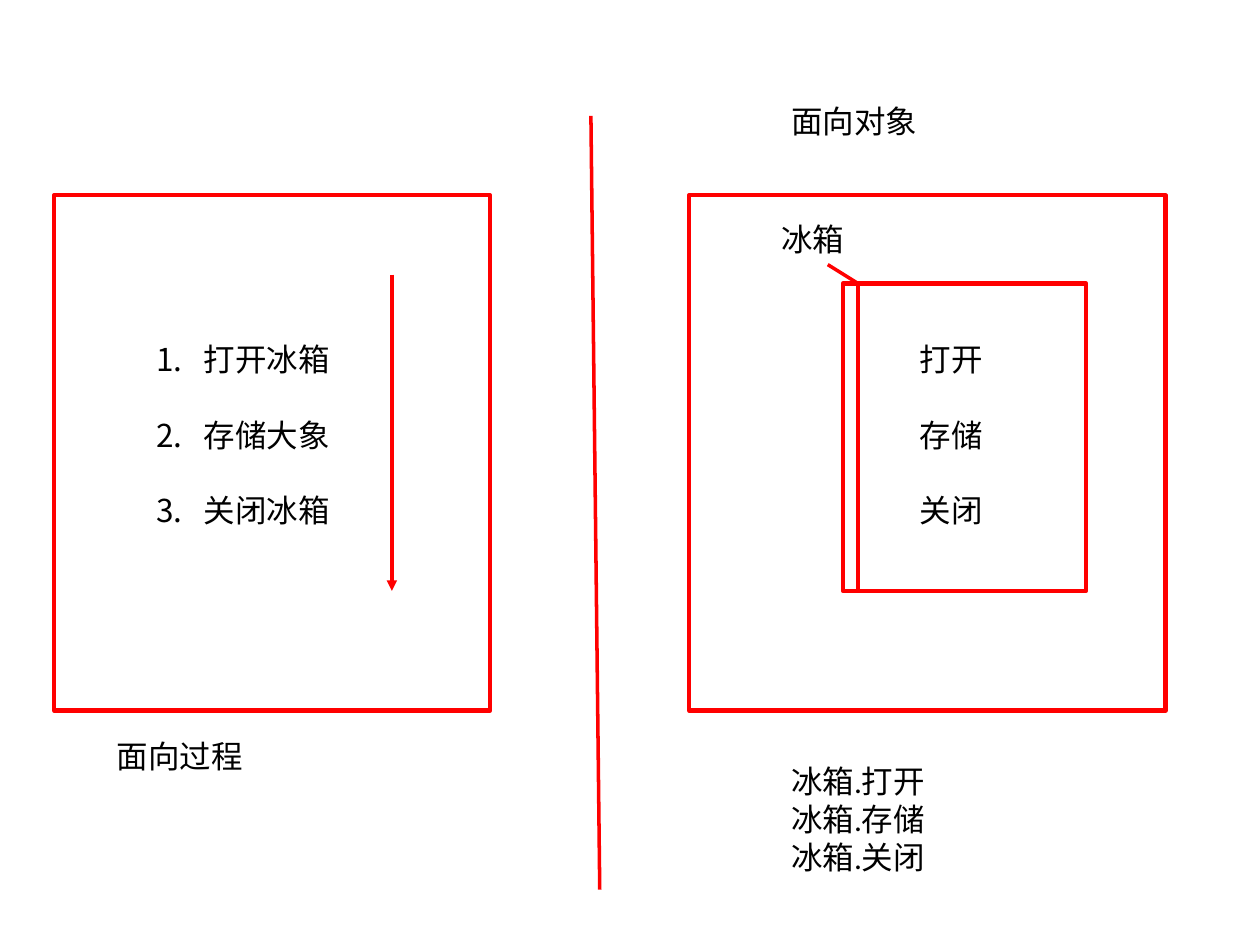
from dataclasses import dataclass

from lxml import etree
from pptx import Presentation
from pptx import util as u
from pptx.dml.color import RGBColor
from pptx.enum import shapes, text
from pptx.oxml.ns import qn


@dataclass(frozen=True)
class Theme:
    """Colours, font and sizes of the slide."""
    accent: RGBColor = RGBColor(0xFF, 0x00, 0x00)
    ink: RGBColor = RGBColor(0x00, 0x00, 0x00)
    font: str = "Calibri"
    size: float = 18
    gap: float = 21.6
    frame: float = 2.5
    rule: float = 2


class Sketch:
    """Draws outlined boxes, lines and text on one slide."""

    def __init__(self, slide, theme):
        self.slide, self.theme = slide, theme

    def box(self, *at):
        sp = self.slide.shapes.add_shape(
            shapes.MSO_SHAPE.RECTANGLE, *map(u.Inches, at))
        sp.shadow.inherit = False
        sp.fill.background()
        sp.line.color.rgb = self.theme.accent
        sp.line.width = u.Pt(self.theme.frame)

    def line(self, *ends, arrow=False):
        cx = self.slide.shapes.add_connector(
            shapes.MSO_CONNECTOR.STRAIGHT, *map(u.Inches, ends))
        cx.line.color.rgb = self.theme.accent
        cx.line.width = u.Pt(self.theme.rule)
        if arrow:
            etree.SubElement(cx.line._get_or_add_ln(), qn("a:tailEnd"), type="triangle")
        etree.SubElement(cx._element.spPr, qn("a:effectLst"))

    def text(self, at, *lines, spaced=False, numbered=False):
        sp = self.slide.shapes.add_textbox(*map(u.Inches, at))
        tf = sp.text_frame
        tf.word_wrap = True
        tf.auto_size = text.MSO_AUTO_SIZE.SHAPE_TO_FIT_TEXT
        style = {"name": self.theme.font, "size": u.Pt(self.theme.size)}
        for i, line in enumerate(lines):
            p = tf.add_paragraph() if i else tf.paragraphs[0]
            if spaced and i:
                p.space_before = u.Pt(self.theme.gap)
            if numbered:
                self.number(p)
            r = p.add_run()
            r.text = line
            for key, value in style.items():
                setattr(r.font, key, value)
            r.font.color.rgb = self.theme.ink

    def number(self, p):
        pPr = p._p.get_or_add_pPr()
        indent = u.Inches(0.38)
        for key, value in {"marL": indent, "indent": -indent}.items():
            pPr.set(key, str(int(value)))
        etree.SubElement(pPr, qn("a:buFont"), typeface="+mj-lt")
        etree.SubElement(pPr, qn("a:buAutoNum"), type="arabicPeriod")


def main():
    """Build the procedural versus object-oriented comparison."""
    prs = Presentation()
    prs.slide_width, prs.slide_height = u.Inches(10), u.Inches(7.5)
    sketch = Sketch(prs.slides.add_slide(prs.slide_layouts[6]), Theme())
    fridge = "冰箱"
    actions = ("打开", "存储", "关闭")
    targets = (fridge, "大象", fridge)

    sketch.box(0.43, 1.55, 3.46, 4.09)
    steps = [a + t for a, t in zip(actions, targets)]
    sketch.text((1.14, 2.65, 2.2, 1.62), *steps, spaced=True, numbered=True)
    sketch.text((0.83, 5.8, 1.65, 0.4), "面向过程")
    sketch.line(4.69, 0.92, 4.76, 7.06)

    sketch.box(5.47, 1.55, 3.78, 4.09)
    sketch.box(6.81, 2.25, 1.81, 2.44)
    sketch.line(6.81, 2.25, 6.57, 2.1)
    sketch.text((6.1, 1.7, 1.02, 0.4), fridge)
    sketch.text((7.2, 2.65, 1.1, 1.62), *actions, spaced=True)
    sketch.box(6.69, 2.25, 0.12, 2.44)
    sketch.text((6.18, 0.76, 2.44, 0.4), "面向对象")
    sketch.line(3.11, 2.18, 3.11, 4.69, arrow=True)
    calls = [f"{fridge}.{a}" for a in actions]
    sketch.text((6.18, 6, 2.13, 1.01), *calls)
    prs.save("out.pptx")


if __name__ == "__main__":
    main()
